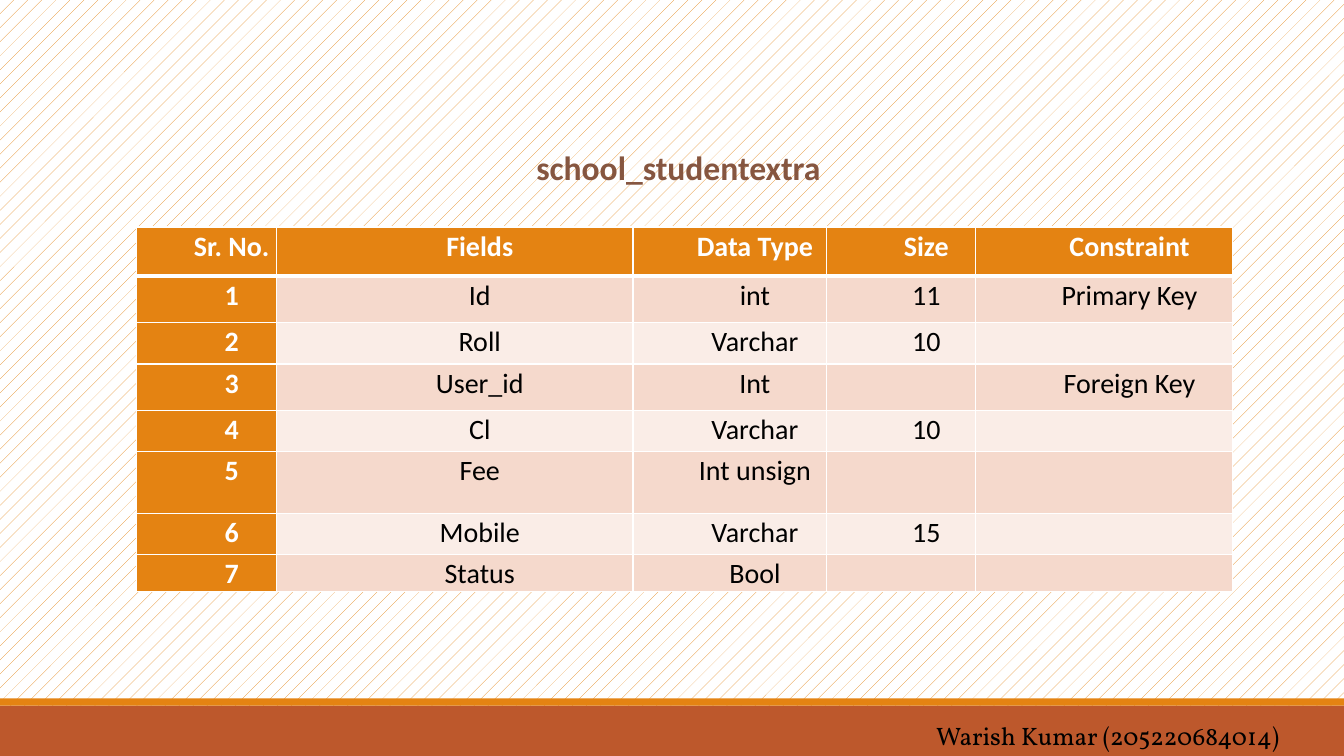
from lxml.etree import SubElement
from pptx import Presentation
from pptx.dml.color import RGBColor
from pptx.enum.dml import MSO_PATTERN
from pptx.enum.shapes import MSO_SHAPE
from pptx.enum.text import MSO_ANCHOR, MSO_AUTO_SIZE, PP_ALIGN
from pptx.oxml.ns import qn
from pptx.util import Cm, Pt

HUES = {"orange": "E48312", "rust": "BD582C", "brown": "865640",
        "dark": "F5D9CC", "light": "FAEDE7", "white": "FFFFFF", "black": "000000"}
COLS = [3.51, 8.99, 4.88, 3.76, 6.48]
ROWS = [1.24, 1.17, 1.04, 1.17, 1.04, 1.55, 1.04, 0.58]
HEADS = ["Sr. No.", "Fields", "Data Type", "Size", "Constraint"]
FIELDS = [
    ("Id", "int", "11", "Primary Key"),
    ("Roll", "Varchar", "10", ""),
    ("User_id", "Int", "", "Foreign Key"),
    ("Cl", "Varchar", "10", ""),
    ("Fee", "Int unsign", "", ""),
    ("Mobile", "Varchar", "15", ""),
    ("Status", "Bool", "", ""),
]


def tint(name):
    """Return the named colour."""
    return RGBColor.from_string(HUES[name])


def style(para, size, hue, bold=False, face="Calibri"):
    """Set the font of a paragraph."""
    font = para.font
    font.name, font.size, font.bold = face, Pt(size), bold
    font.color.rgb = tint(hue)


def paint(slide):
    """Give the slide its patterned background."""
    fill = slide.background.fill
    fill.patterned()
    fill.pattern = MSO_PATTERN.PERCENT_5
    fill.fore_color.rgb = tint("orange")
    fill.back_color.rgb = tint("white")


def label(shape, box, text, *look):
    """Place one line of text in the given box."""
    shape.left, shape.top, shape.width, shape.height = map(Cm, box)
    frame = shape.text_frame
    frame.text = text
    frame.word_wrap = True
    frame.auto_size = MSO_AUTO_SIZE.NONE
    frame.vertical_anchor = MSO_ANCHOR.TOP
    para = frame.paragraphs[0]
    para.alignment = PP_ALIGN.LEFT
    style(para, *look)


def footer(slide, left, top, width, height):
    """Draw the bottom band, its stripe and the author's name."""
    strip = 0.18
    for y, tall, hue in ((top + strip, height - strip, "rust"), (top, strip, "orange")):
        bar = slide.shapes.add_shape(MSO_SHAPE.RECTANGLE, Cm(left), Cm(y), Cm(width), Cm(tall))
        bar.shadow.inherit = False
        bar.fill.solid()
        bar.fill.fore_color.rgb = tint(hue)
        bar.line.fill.background()
    name = slide.shapes.add_textbox(0, 0, 0, 0)
    label(name, (left + width - 10.53, top + 0.43, 9.25, 1.02),
          "Warish Kumar (205220684014)", 18, "black", False, "Vollkorn")


def edge(cell, row):
    """Draw white borders, thick below the header."""
    thick = {(0, "B"), (1, "T")}
    for side in "LRTB":
        width = Pt(3 if (row, side) in thick else 1)
        line = SubElement(cell._tc.get_or_add_tcPr(), qn("a:ln" + side), w=str(width))
        fill = SubElement(line, qn("a:solidFill"))
        SubElement(fill, qn("a:srgbClr"), val=HUES["white"])


def fill_cell(cell, text, row, col):
    """Write and format one table cell."""
    head = row == 0 or col == 0
    edge(cell, row)
    cell.fill.solid()
    cell.fill.fore_color.rgb = tint("orange" if head else "dark" if row % 2 else "light")
    cell.margin_left = cell.margin_right = Cm(0.15)
    cell.margin_top = cell.margin_bottom = 0
    cell.text = text
    para = cell.text_frame.paragraphs[0]
    para.alignment = PP_ALIGN.CENTER
    para.line_spacing = 1.07
    para.space_after = Pt(11.2)
    para._p.get_or_add_pPr().set("marL", str(Cm(1.27)))
    style(para, 20, "white" if head else "black", head)


def grid(slide, left, top):
    """Draw the table of fields."""
    data = [HEADS] + [(str(num), *rest) for num, rest in enumerate(FIELDS, 1)]
    table = slide.shapes.add_table(len(ROWS), len(COLS), Cm(left), Cm(top),
                                   Cm(sum(COLS)), Cm(sum(ROWS))).table
    for col, wide in zip(table.columns, COLS):
        col.width = Cm(wide)
    for row, tall in zip(table.rows, ROWS):
        row.height = Cm(tall)
    for row, texts in enumerate(data):
        for col, text in enumerate(texts):
            fill_cell(table.cell(row, col), text, row, col)


def main():
    """Build and save the slide."""
    deck = Presentation()
    deck.slide_width, deck.slide_height = Cm(33.87), Cm(19.05)
    slide = deck.slides.add_slide(deck.slide_layouts[5])
    paint(slide)
    footer(slide, 0, 17.6, 33.87, 1.45)
    grid(slide, 3.45, 5.72)
    label(slide.shapes.title, (13.26, 3.58, 9.04, 1.27),
          "school_studentextra", 24, "brown", True)
    deck.save("out.pptx")


if __name__ == "__main__":
    main()
